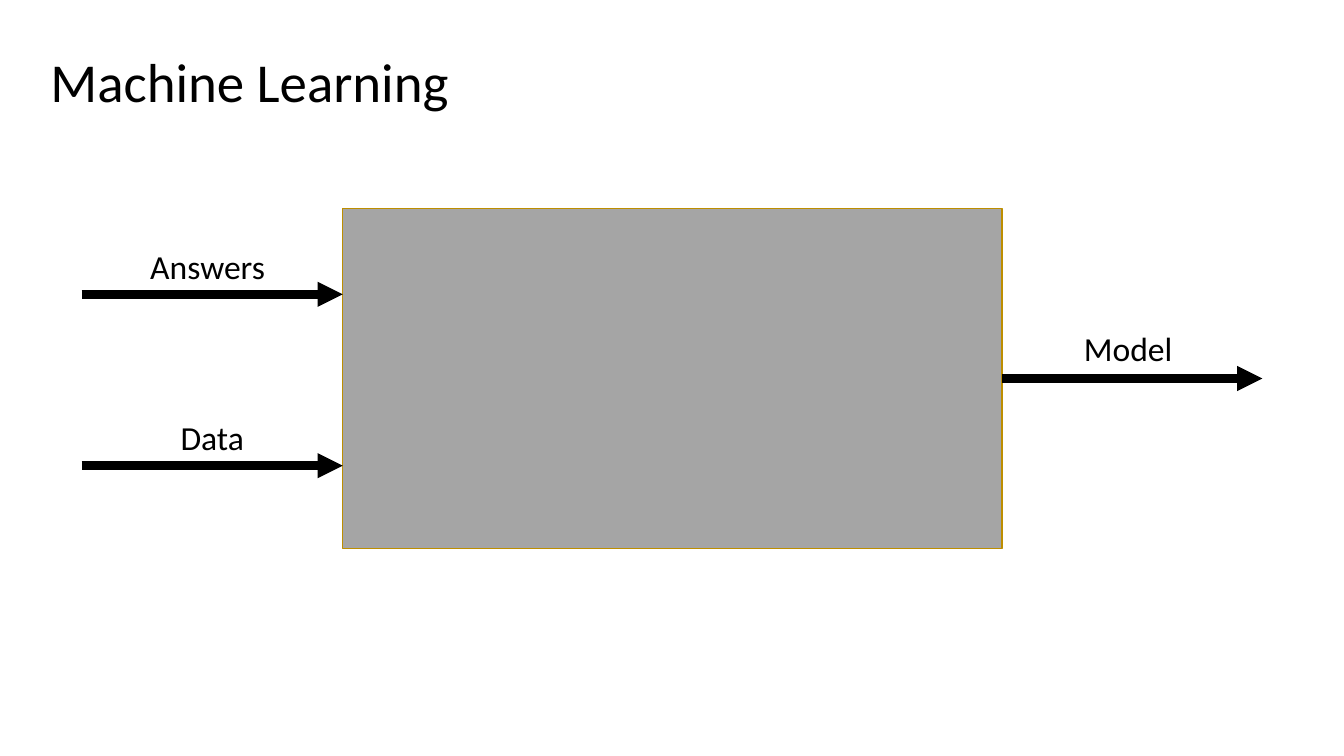
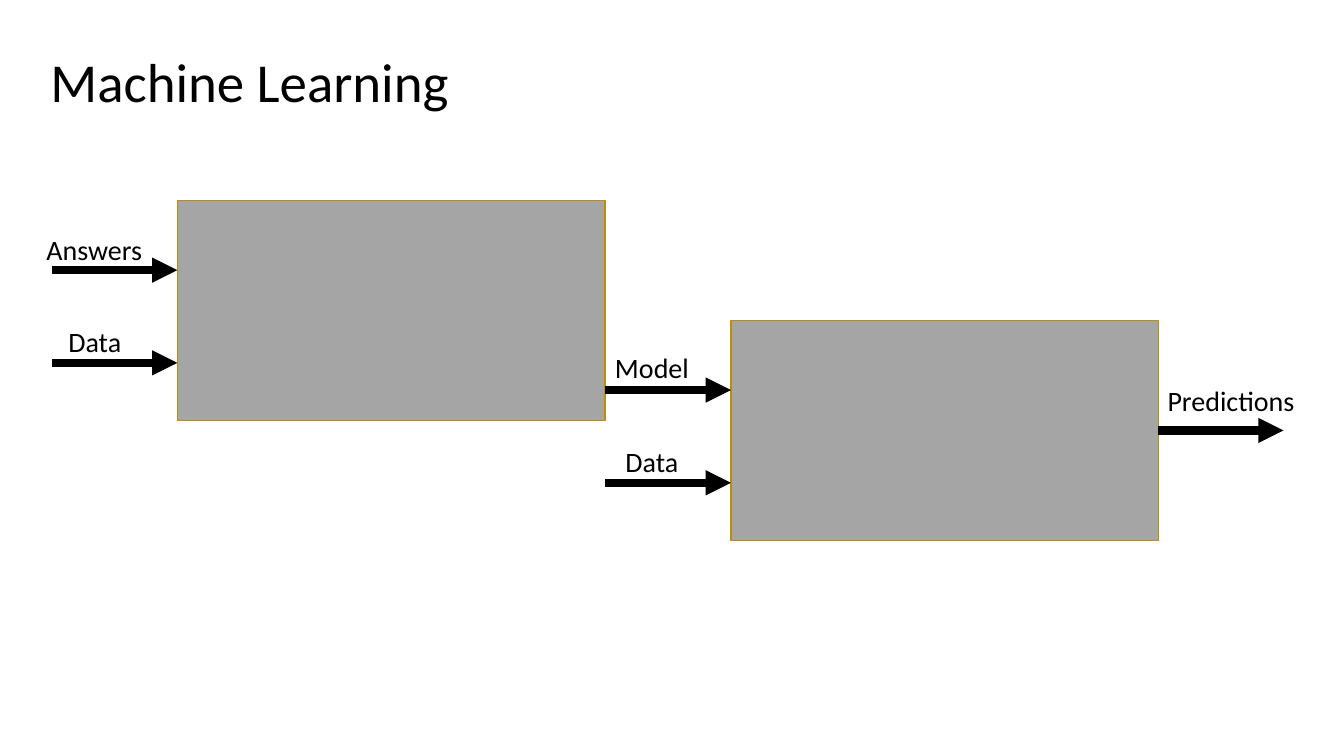
import dataclasses

import pptx
import pptx.dml.color
import pptx.enum.shapes
import pptx.enum.text
import pptx.oxml
import pptx.oxml.ns
import pptx.util

PX = 9144  # EMU in one px: 100 px to the inch
LEFT = pptx.enum.text.PP_ALIGN.LEFT
CENTER = pptx.enum.text.PP_ALIGN.CENTER
RIGHT_SIDE = 3


@dataclasses.dataclass(frozen=True)
class Theme:
    font: str = "Calibri"
    ink: str = "000000"
    box_fill: str = "A5A5A5"
    box_line: str = "BD8E00"
    title_size: float = 39.2
    title_spacing: float = 31.4
    large_label: int = 24
    small_label: int = 20
    box_width: int = 1
    arrow_width: int = 6


THEME = Theme()


def px(*lengths):
    return [pptx.util.Emu(length * PX) for length in lengths]


def rgb(value):
    return pptx.dml.color.RGBColor.from_string(value)


def set_text(frame, text, size, align):
    """Fill a text frame with one paragraph in the shared type style."""
    frame.text = text
    frame.word_wrap = True
    frame.margin_left = frame.margin_right = 0
    frame.margin_top = frame.margin_bottom = 0
    para = frame.paragraphs[0]
    para.alignment = align
    for span in para.runs:
        span.font.name = THEME.font
        span.font.size = pptx.util.Pt(size)
        span.font.color.rgb = rgb(THEME.ink)
    return para


def add_page(deck, heading):
    page = deck.slides.add_slide(deck.slide_layouts[5])
    title = page.shapes.title
    title.left, title.top, title.width, title.height = px(50, 68, 1236, 45)
    para = set_text(title.text_frame, heading, THEME.title_size, LEFT)
    para.line_spacing = pptx.util.Pt(THEME.title_spacing)
    title.text_frame.vertical_anchor = pptx.enum.text.MSO_ANCHOR.MIDDLE
    title.text_frame.auto_size = pptx.enum.text.MSO_AUTO_SIZE.SHAPE_TO_FIT_TEXT
    return page


def add_box(page, left, top, width, height):
    box = page.shapes.add_shape(
        pptx.enum.shapes.MSO_SHAPE.RECTANGLE, *px(left, top, width, height))
    box.shadow.inherit = False
    box.fill.solid()
    box.fill.fore_color.rgb = rgb(THEME.box_fill)
    box.line.color.rgb = rgb(THEME.box_line)
    box.line.width = pptx.util.Pt(THEME.box_width)
    return box


def add_arrow(page, start, end, y, source=None):
    """Draw a level arrow, joined to the right side of source if given."""
    arrow = page.shapes.add_connector(
        pptx.enum.shapes.MSO_CONNECTOR.STRAIGHT, *px(start, y, end, y))
    if source is not None:
        arrow.begin_connect(source, RIGHT_SIDE)
        arrow.end_y = arrow.begin_y
    arrow.line.color.rgb = rgb(THEME.ink)
    arrow.line.width = pptx.util.Pt(THEME.arrow_width)
    line = arrow.line._get_or_add_ln()
    head = pptx.oxml.ns.qn("a:tailEnd")
    line.append(line.makeelement(head, {"type": "triangle"}))
    properties = arrow._element.spPr
    effects = pptx.oxml.ns.qn("a:effectLst")
    properties.append(properties.makeelement(effects, {}))


def add_label(page, text, size, left, top, width, align=CENTER):
    height = 40 if size == THEME.large_label else 34
    label = page.shapes.add_textbox(*px(left, top, width, height))
    set_text(label.text_frame, text, size, align)
    label.text_frame.auto_size = pptx.enum.text.MSO_AUTO_SIZE.SHAPE_TO_FIT_TEXT


def build_training(deck):
    page = add_page(deck, "Machine Learning")
    trainer = add_box(page, 340, 207, 654, 337)
    for y in (292, 462):
        add_arrow(page, 81, 340, y)
    add_arrow(page, 994, 1252, 376, trainer)

    size = THEME.large_label
    add_label(page, "Model", size, 1075, 325, 96, LEFT)
    add_label(page, "Data", size, 176, 414, 69)
    add_label(page, "Answers", size, 149, 244, 123, LEFT)


def build_prediction(deck):
    page = add_page(deck, "Machine Learning")
    # Training box, then the prediction box that uses its model
    stages = []
    for left, top, start in ((176, 199, 52), (725, 318, 600)):
        stages.append(add_box(page, left, top, 424, 218))
        for offset in (69, 161):
            add_arrow(page, start, left, top + offset)
    add_arrow(page, 1149, 1273, 427, stages[-1])

    size = THEME.small_label
    add_label(page, "Predictions", size, 1158, 380, 146, LEFT)
    add_label(page, "Data", size, 609, 441, 75)
    add_label(page, "Model", size, 610, 348, 93, LEFT)
    add_label(page, "Data", size, 52, 322, 84)
    add_label(page, "Answers", size, 31, 231, 125)


def main():
    deck = pptx.Presentation()
    deck.slide_width, deck.slide_height = px(1333, 750)
    build_training(deck)
    build_prediction(deck)
    deck.save("out.pptx")


if __name__ == "__main__":
    main()
